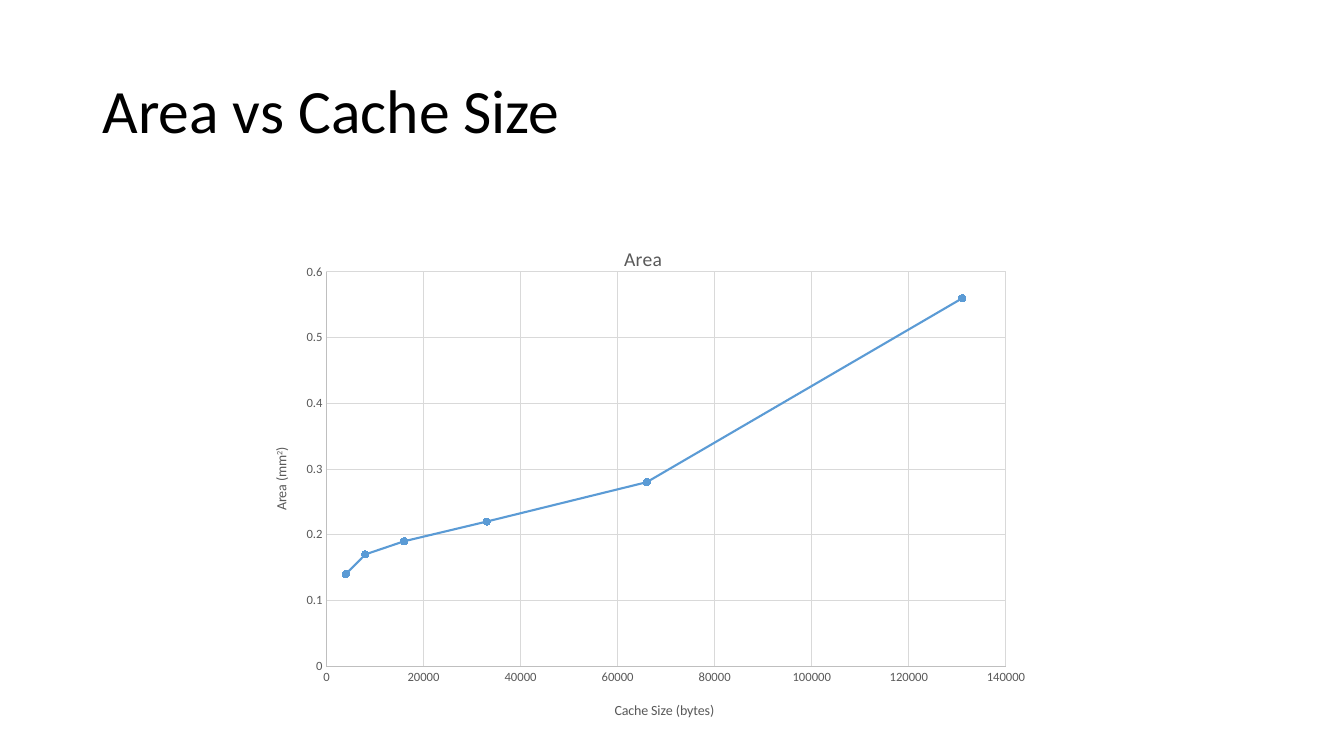
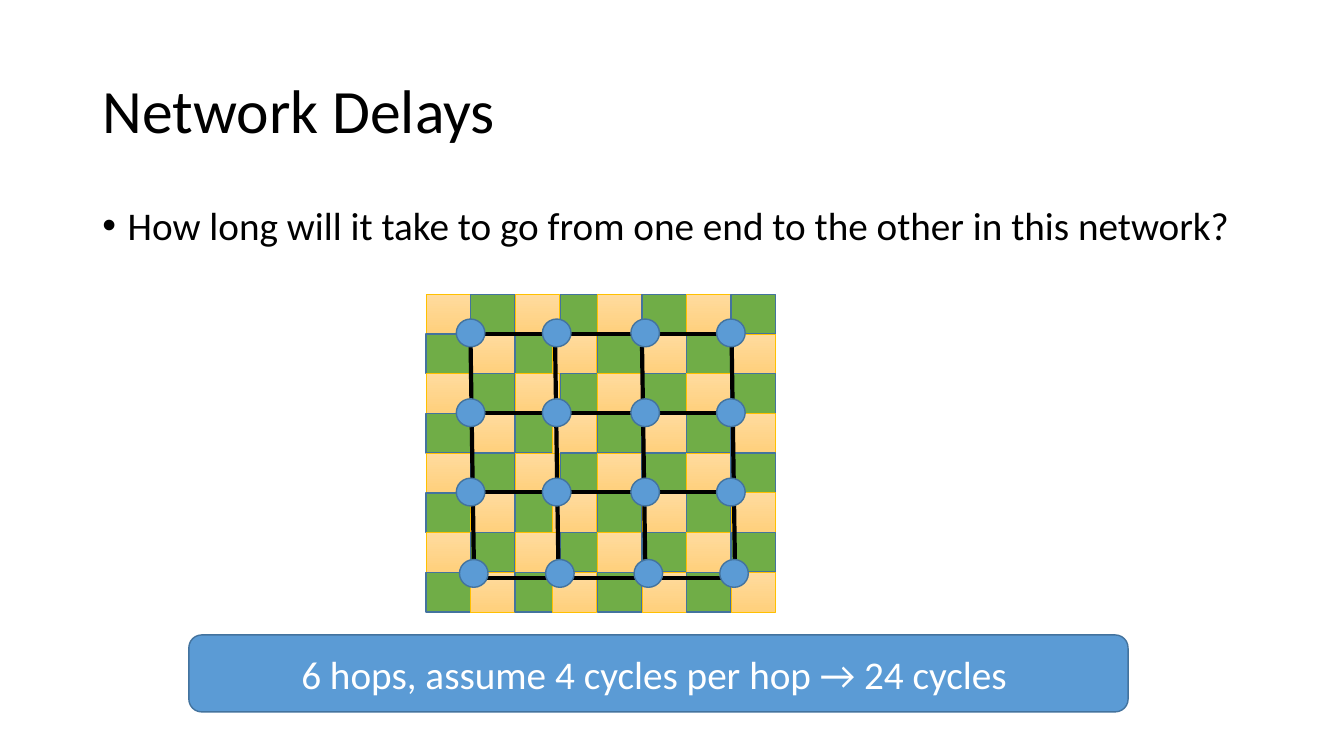
import lxml.etree
import pptx
import pptx.chart.data
import pptx.dml.color
import pptx.enum.chart
import pptx.enum.shapes
import pptx.enum.text
import pptx.oxml
import pptx.oxml.ns
import pptx.util

Cm = pptx.util.Cm
Pt = pptx.util.Pt
qn = pptx.oxml.ns.qn
rgb = pptx.dml.color.RGBColor.from_string
PRESET = pptx.enum.shapes.MSO_SHAPE
ALIGN = pptx.enum.text.PP_ALIGN
MIDDLE = pptx.enum.text.MSO_ANCHOR.MIDDLE

FONT = "Calibri"
COLORS = {
    "text": "000000", "white": "FFFFFF", "blue": "5B9BD5", "outline": "43739E",
    "green": "70AD47", "sand_top": "FFDB9E", "sand_bottom": "FFD07C",
    "gold": "FFC000", "label": "595959", "axis": "BFBFBF", "grid": "D9D9D9",
}


def write(paragraph, text, size, color="text", align=None, spacing=None, baseline=None):
    """Append a formatted run; baseline is the raise in thousandths of a percent."""
    run = paragraph.add_run()
    run.text = text
    run.font.name = FONT
    run.font.size = Pt(size)
    run.font.bold = False
    run.font.color.rgb = rgb(COLORS[color])
    if align is not None:
        paragraph.alignment = align
    if spacing:
        paragraph.line_spacing = spacing
    if baseline:
        run.font._element.set("baseline", str(baseline))


def add_filled(slide, preset, left, top, width, height, fill, line="outline", weight=1):
    """Add a shape in cm; a pair of fill colours gives a downward gradient."""
    shape = slide.shapes.add_shape(preset, Cm(left), Cm(top), Cm(width), Cm(height))
    shape.shadow.inherit = False
    if isinstance(fill, tuple):
        shape.fill.gradient()
        shape.fill.gradient_angle = 270
        for stop, color in zip(shape.fill.gradient_stops, fill):
            stop.color.rgb = rgb(COLORS[color])
    else:
        shape.fill.solid()
        shape.fill.fore_color.rgb = rgb(COLORS[fill])
    shape.line.color.rgb = rgb(COLORS[line])
    shape.line.width = Pt(weight)
    return shape


deck = pptx.Presentation()
deck.slide_width, deck.slide_height = Cm(33.87), Cm(19.05)

slides = []
for heading in ("Area vs Cache Size", "Network Delays"):
    slide = deck.slides.add_slide(deck.slide_layouts[5])
    title = slide.shapes.title
    title.left, title.top, title.width, title.height = Cm(2.33), Cm(1.01), Cm(29.21), Cm(3.68)
    title.text_frame.vertical_anchor = MIDDLE
    write(title.text_frame.paragraphs[0], heading, 44, align=ALIGN.LEFT, spacing=0.9)
    slides.append(slide)
area_slide, network_slide = slides

# Area against cache size
measurements = pptx.chart.data.XyChartData()
area_points = measurements.add_series("Area")
for cache_bytes, area in ((4000, 0.14), (8000, 0.17), (16000, 0.19),
                          (33000, 0.22), (66000, 0.28), (131000, 0.56)):
    area_points.add_data_point(cache_bytes, area)

chart = area_slide.shapes.add_chart(
    pptx.enum.chart.XL_CHART_TYPE.XY_SCATTER_LINES,
    Cm(6.38), Cm(5.69), Cm(19.66), Cm(12.8), measurements).chart
chart.font.name = FONT
chart.font.size = Pt(10)
chart.has_legend = False
chart.has_title = True
write(chart.chart_title.text_frame.paragraphs[0], "Area", 14, "label")
chart.plots[0].vary_by_categories = False

curve = chart.plots[0].series[0]
curve.format.line.color.rgb = rgb(COLORS["blue"])
curve.format.line.width = Pt(1.5)
curve.marker.style = pptx.enum.chart.XL_MARKER_STYLE.CIRCLE
curve.marker.size = 5
curve.marker.format.fill.solid()
curve.marker.format.fill.fore_color.rgb = rgb(COLORS["blue"])
curve.marker.format.line.color.rgb = rgb(COLORS["blue"])

size_axis, area_axis = chart.category_axis, chart.value_axis
for axis, top_value, step in ((size_axis, 140000, 20000), (area_axis, 0.6, 0.1)):
    axis.minimum_scale, axis.maximum_scale, axis.major_unit = 0, top_value, step
    axis.major_tick_mark = axis.minor_tick_mark = pptx.enum.chart.XL_TICK_MARK.NONE
    axis.tick_labels.font.name = FONT
    axis.tick_labels.font.size = Pt(9)
    axis.tick_labels.font.color.rgb = rgb(COLORS["label"])
    axis.has_major_gridlines = True
    for line, color in ((axis.format.line, "axis"), (axis.major_gridlines.format.line, "grid")):
        line.color.rgb = rgb(COLORS[color])
        line.width = Pt(0.75)

size_caption = size_axis.axis_title
write(size_caption.text_frame.paragraphs[0], "Cache Size (bytes)", 10, "label")
area_caption = area_axis.axis_title
for text, baseline in (("Area (mm", None), ("2", 30000), (")", None)):
    write(area_caption.text_frame.paragraphs[0], text, 10, "label", baseline=baseline)
area_body = area_caption.element.find(".//" + qn("a:bodyPr"))
area_body.set("rot", "-5400000")
area_body.set("vert", "horz")

# Fixed places, as fractions of the chart
for parent, index, place in (
        (chart.element.find(".//" + qn("c:plotArea")), 0,
         {"layoutTarget": "inner", "xMode": "edge", "yMode": "edge",
          "x": 0.094, "y": 0.091, "w": 0.871, "h": 0.776}),
        (size_caption.element, 1, {"xMode": "edge", "yMode": "edge", "x": 0.46, "y": 0.93}),
        (area_caption.element, 1, {"xMode": "edge", "yMode": "edge", "x": 0.02, "y": 0.43})):
    for old_layout in parent.findall(qn("c:layout")):
        parent.remove(old_layout)
    layout = parent.makeelement(qn("c:layout"))
    parent.insert(index, layout)
    manual = lxml.etree.SubElement(layout, qn("c:manualLayout"))
    for key, value in place.items():
        lxml.etree.SubElement(manual, qn("c:" + key)).set("val", str(value))

# Question on network delays
question = network_slide.shapes.add_textbox(Cm(2.33), Cm(5.08), Cm(29.21), Cm(1.6)).text_frame
question.word_wrap = True
bullet = question.paragraphs[0]
write(bullet, "How long will it take to go from one end to the other in this network?", 28, spacing=0.9)
bullet.space_before = Pt(10)
bullet_format = bullet._p.get_or_add_pPr()
bullet_format.set("marL", str(Cm(0.64)))
bullet_format.set("indent", str(-Cm(0.64)))
lxml.etree.SubElement(bullet_format, qn("a:buFont")).set("typeface", "Arial")
lxml.etree.SubElement(bullet_format, qn("a:buChar")).set("char", "•")

# Checkerboard of tiles: the right half starts closer, the fourth column alternates
TILE_W, TILE_H = 1.12, 1.0
for row in range(8):
    for column in range(8):
        sand = (row + column) % 2 == 0
        if column == 3:
            left = 13.92 if sand else 14.12
        else:
            left = (10.74 if column < 3 else 10.58) + column * TILE_W
        add_filled(network_slide, PRESET.RECTANGLE, left, 7.42 + row * TILE_H, TILE_W, TILE_H,
                   ("sand_top", "sand_bottom") if sand else "green",
                   *(("gold", 0.5) if sand else ("outline", 1)))

# Links of the mesh, then its nodes; the last row sits slightly right
SHIFT = 0.08
links = [(11.86, y, 18.44, y) for y in (8.42, 10.41, 12.4)]
links.append((11.86 + SHIFT, 14.56, 18.44 + SHIFT, 14.56))
links += [(x, 8.74, x + SHIFT, 14.1) for x in (11.86, 13.99, 16.18, 18.44)]
for ends in links:
    link = network_slide.shapes.add_connector(
        pptx.enum.shapes.MSO_CONNECTOR.STRAIGHT, *(Cm(value) for value in ends))
    link.line.color.rgb = rgb(COLORS["text"])
    link.line.width = Pt(3)
    lxml.etree.SubElement(link._element.spPr, qn("a:effectLst"))

NODE_W, NODE_H = 0.72, 0.7
for center_y, shift in ((8.39, 0), (10.4, 0), (12.4, 0), (14.45, SHIFT)):
    for center_x in (11.86, 14.03, 16.26, 18.42):
        add_filled(network_slide, PRESET.OVAL, center_x + shift - NODE_W / 2,
                   center_y - NODE_H / 2, NODE_W, NODE_H, "blue")

answer = add_filled(network_slide, PRESET.ROUNDED_RECTANGLE, 4.76, 16.0, 23.67, 1.94, "blue")
answer.text_frame.vertical_anchor = MIDDLE
write(answer.text_frame.paragraphs[0], "6 hops, assume 4 cycles per hop → 24 cycles ", 28,
      "white", align=ALIGN.CENTER)

deck.save("out.pptx")
